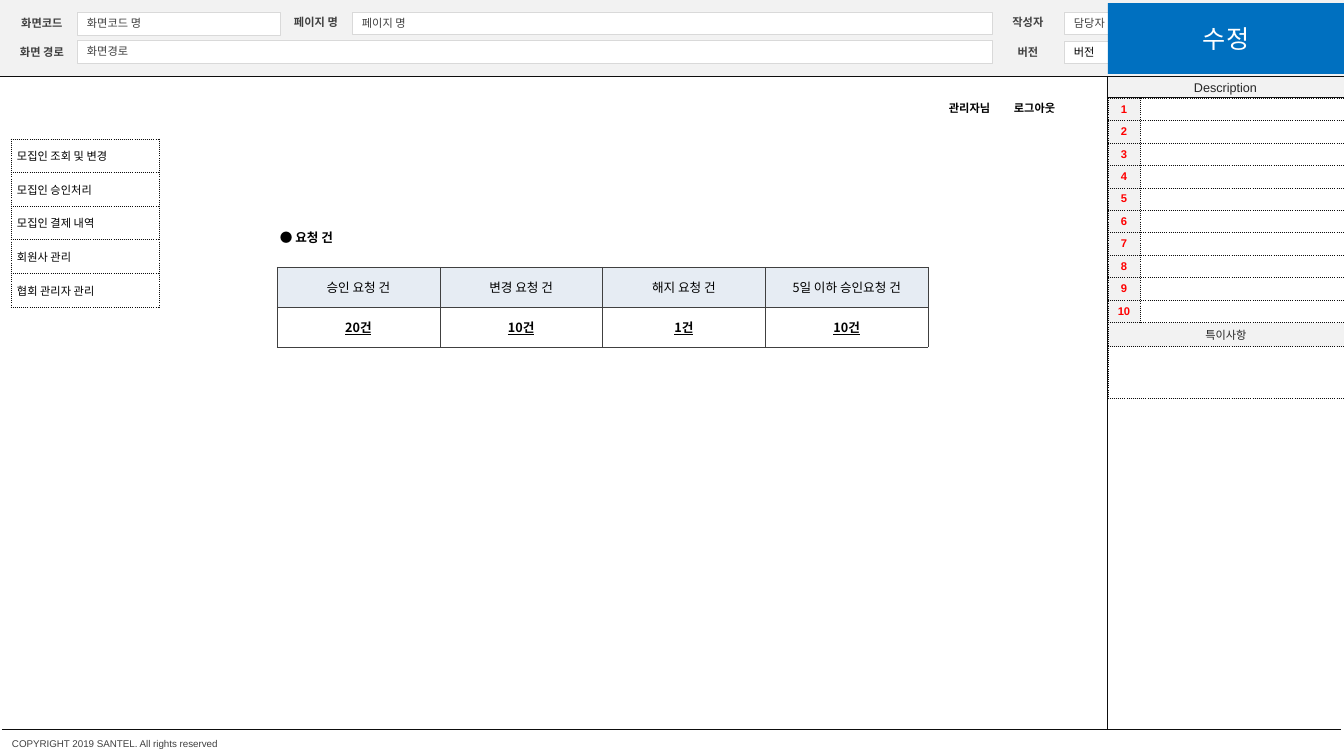
from lxml import etree
from pptx import Presentation
from pptx.dml.color import RGBColor
from pptx.enum.dml import MSO_LINE
from pptx.enum.shapes import MSO_CONNECTOR, MSO_SHAPE
from pptx.enum.text import MSO_ANCHOR, PP_ALIGN
from pptx.oxml.ns import qn
from pptx.util import Emu, Pt

RECT, ROUND_RECT = MSO_SHAPE.RECTANGLE, MSO_SHAPE.ROUNDED_RECTANGLE
STRAIGHT, DOTTED = MSO_CONNECTOR.STRAIGHT, MSO_LINE.ROUND_DOT
LEFT, CENTER = PP_ALIGN.LEFT, PP_ALIGN.CENTER
MIDDLE = MSO_ANCHOR.MIDDLE

BLACK = RGBColor(0x00, 0x00, 0x00)
WHITE = RGBColor(0xFF, 0xFF, 0xFF)
INK = RGBColor(0x0D, 0x0D, 0x0D)
DARK = RGBColor(0x26, 0x26, 0x26)
GRAY = RGBColor(0x40, 0x40, 0x40)
EDGE = RGBColor(0xD9, 0xD9, 0xD9)
PANEL = RGBColor(0xF2, 0xF2, 0xF2)
HEADING = RGBColor(0xE6, 0xEC, 0xF3)
RED = RGBColor(0xFF, 0x00, 0x00)
BLUE = RGBColor(0x00, 0x70, 0xC0)

LATIN, KOREAN = "Arial", "Noto Sans CJK KR"
WIDTH, HEIGHT = 1344, 756
EMU_PER_PX = 914400 / 100.8
SIDE = 1107

FIELDS = [
    ("화면코드 명", (77, 12, 203, 23), GRAY),
    ("화면경로", (77, 40, 915, 23), GRAY),
    ("페이지 명", (352, 12, 640, 22), GRAY),
    ("담당자", (1064, 12, 96, 22), GRAY),
    ("버전", (1064, 41, 96, 22), BLACK),
]
LABELS = [
    ("화면코드", 6, 17),
    ("화면 경로", 6, 46),
    ("페이지 명", 280, 16),
    ("작성자", 992, 16),
    ("버전", 992, 46),
]
RULES = [
    (SIDE, 97, WIDTH, 97),
    (SIDE, 76, SIDE, 729),
    (0, 76, WIDTH, 76),
    (2, 729, 1340, 729),
]
ACCOUNT = [("관리자님", 939), ("로그아웃", 1004)]
NOTE_COUNT = 10
MENU = ["모집인 조회 및 변경", "모집인 승인처리", "모집인 결제 내역",
        "회원사 관리", "협회 관리자 관리"]
REQUESTS = [
    ("승인 요청 건", "20건"),
    ("변경 요청 건", "10건"),
    ("해지 요청 건", "1건"),
    ("5일 이하 승인요청 건", "10건"),
]


def px(value):
    return Emu(round(value * EMU_PER_PX))


def write(text_frame, text, size, color, font=LATIN, bold=False, align=LEFT):
    text_frame.text = text
    paragraph = text_frame.paragraphs[0]
    paragraph.alignment = align
    for run in paragraph.runs:
        run.font.name = font
        run.font.size = Pt(size)
        run.font.bold = bold
        run.font.color.rgb = color
        east_asian = etree.SubElement(run.font._element, qn("a:ea"))
        east_asian.set("typeface", KOREAN)
    if not text:
        etree.SubElement(paragraph._p, qn("a:endParaRPr")).set("sz", str(size * 100))


def add_box(slide, kind, bounds, fill, edge=None):
    shape = slide.shapes.add_shape(kind, *map(px, bounds))
    shape.shadow.inherit = False
    shape.fill.solid()
    shape.fill.fore_color.rgb = fill
    if edge is None:
        shape.line.fill.background()
    else:
        shape.line.color.rgb = edge
        shape.line.width = Pt(0.25)
    if kind == ROUND_RECT:
        shape.adjustments[0] = 0
    shape.text_frame.vertical_anchor = MIDDLE
    return shape


def add_text(slide, bounds, text, size, color, inset=True, **style):
    text_frame = slide.shapes.add_textbox(*map(px, bounds)).text_frame
    text_frame.word_wrap = True
    if not inset:
        text_frame.margin_left = text_frame.margin_right = 0
        text_frame.margin_top = text_frame.margin_bottom = 0
    text_frame.vertical_anchor = MIDDLE
    write(text_frame, text, size, color, **style)


def add_rule(slide, ends):
    connector = slide.shapes.add_connector(STRAIGHT, *map(px, ends))
    connector.line.color.rgb = INK
    connector.line.width = Pt(0.25)
    connector.line.dash_style = DOTTED
    etree.SubElement(connector._element.spPr, qn("a:effectLst"))


def add_grid(slide, left, top, columns, rows, edge, weight, dash):
    bounds = (left, top, sum(columns), sum(rows))
    frame = slide.shapes.add_table(len(rows), len(columns), *map(px, bounds))
    table = frame.table
    table.first_row = table.horz_banding = False
    for column, width in zip(table.columns, columns):
        column.width = px(width)
    for row, height in zip(table.rows, rows):
        row.height = px(height)
    for cell in table.iter_cells():
        properties = cell._tc.get_or_add_tcPr()
        for side in ("lnL", "lnR", "lnT", "lnB"):
            line = etree.SubElement(properties, qn(f"a:{side}"), w=str(Pt(weight)))
            solid = etree.SubElement(line, qn("a:solidFill"))
            etree.SubElement(solid, qn("a:srgbClr"), val=str(edge))
            etree.SubElement(line, qn("a:prstDash"), val=dash)
    return table


def fill_cell(cell, text, size, color, fill, margin=None, **style):
    cell.fill.solid()
    cell.fill.fore_color.rgb = fill
    cell.vertical_anchor = MIDDLE
    if margin is not None:
        cell.margin_left = cell.margin_right = px(margin)
        cell.margin_top = cell.margin_bottom = px(margin)
    write(cell.text_frame, text, size, color, **style)


def add_header(slide):
    add_box(slide, RECT, (0, 0, WIDTH, 76), PANEL)
    for text, bounds, color in FIELDS:
        field = add_box(slide, ROUND_RECT, bounds, WHITE, EDGE)
        write(field.text_frame, text, 8, color)
    for text, left, top in LABELS:
        add_text(slide, (left, top, 72, 13), text, 8, GRAY, inset=False,
                 bold=True, align=CENTER)


def add_notes_panel(slide):
    title = add_box(slide, RECT, (SIDE, 77, WIDTH - SIDE, 21), PANEL)
    write(title.text_frame, "Description", 9, DARK, align=CENTER)
    for ends in RULES:
        add_rule(slide, ends)
    rows = [22.5] * NOTE_COUNT + [24, 52]
    table = add_grid(slide, SIDE + 1, 98, [32, 204], rows, INK, 0.5, "sysDot")
    for index in range(NOTE_COUNT):
        fill_cell(table.cell(index, 0), str(index + 1), 8, RED, PANEL, 2,
                  bold=True, align=CENTER)
        fill_cell(table.cell(index, 1), "", 8, BLACK, WHITE, 2)
    remarks = [("특이사항", PANEL), ("", WHITE)]
    for index, (text, fill) in enumerate(remarks, NOTE_COUNT):
        table.cell(index, 0).merge(table.cell(index, 1))
        fill_cell(table.cell(index, 0), text, 8, DARK, fill, 2, align=CENTER)


def add_menu(slide):
    table = add_grid(slide, 11, 139, [148], [33.6] * len(MENU), INK, 0.5, "sysDot")
    for index, text in enumerate(MENU):
        cell = table.cell(index, 0)
        fill_cell(cell, text, 8, BLACK, WHITE, 2)
        cell.margin_left = px(6)


def add_requests(slide):
    add_text(slide, (270, 225, 100, 25), "● 요청 건", 9, BLACK, font=KOREAN, bold=True)
    columns = [651 / len(REQUESTS)] * len(REQUESTS)
    table = add_grid(slide, 277, 267, columns, [40, 40], GRAY, 0.25, "solid")
    for index, (name, count) in enumerate(REQUESTS):
        fill_cell(table.cell(0, index), name, 9, BLACK, HEADING, font=KOREAN, align=CENTER)
        total = table.cell(1, index)
        fill_cell(total, count, 9, BLACK, WHITE, font=KOREAN, bold=True, align=CENTER)
        total.text_frame.paragraphs[0].runs[0].font.underline = True


def main():
    presentation = Presentation()
    presentation.slide_width, presentation.slide_height = px(WIDTH), px(HEIGHT)
    slide = presentation.slides.add_slide(presentation.slide_layouts[6])
    add_header(slide)
    add_text(slide, (12, 738, 368, 12), "COPYRIGHT 2019 SANTEL. All rights reserved",
             7, GRAY, inset=False)
    add_notes_panel(slide)
    for text, left in ACCOUNT:
        add_text(slide, (left, 96, 73, 24), text, 8, BLACK, font=KOREAN, bold=True)
    add_menu(slide)
    add_requests(slide)
    status = add_box(slide, RECT, (SIDE + 1, 3, WIDTH - SIDE - 1, 71), BLUE)
    write(status.text_frame, "수정", 18, WHITE, font=KOREAN, align=CENTER)
    presentation.save("out.pptx")


if __name__ == "__main__":
    main()
